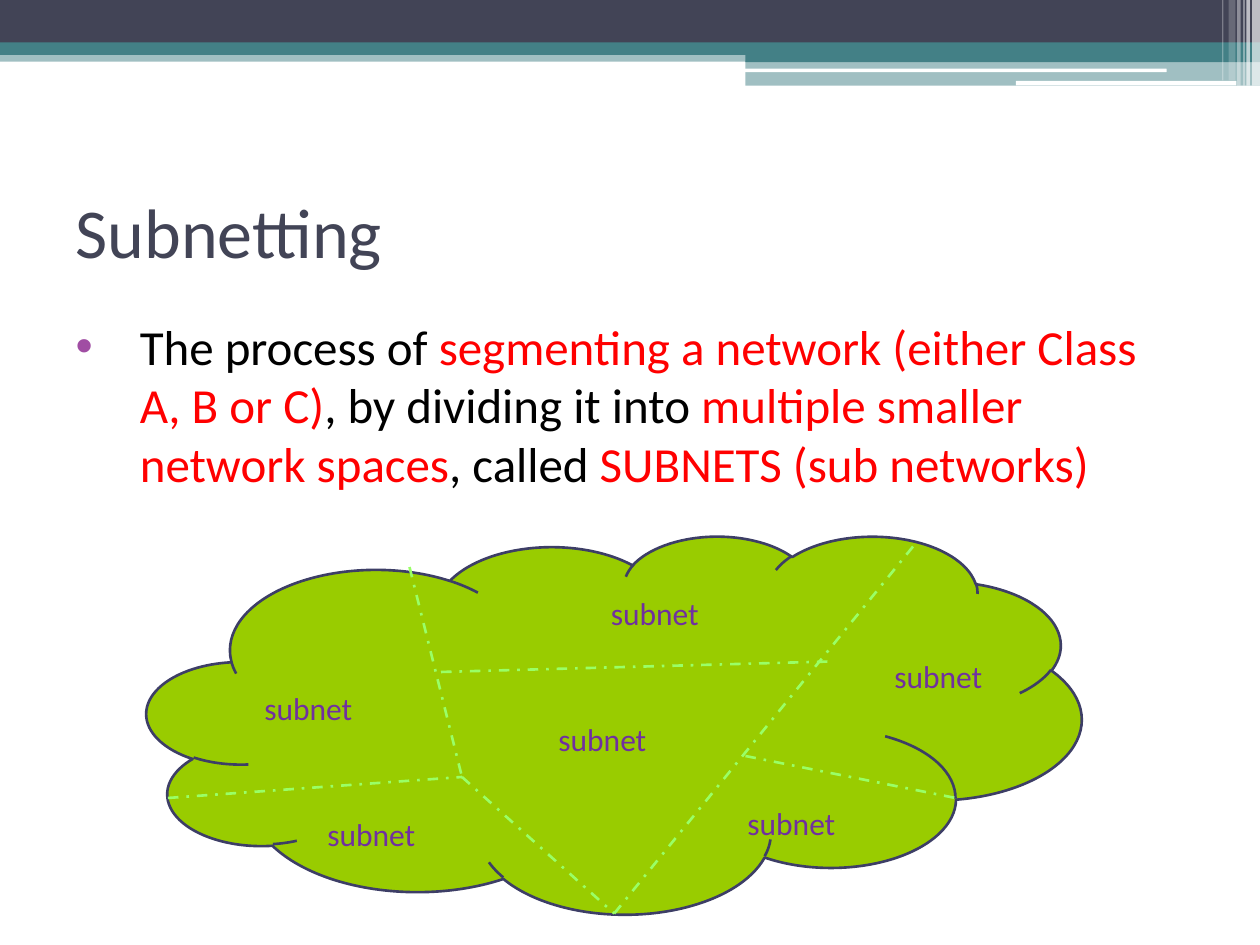
from lxml import etree
from pptx import Presentation
from pptx.dml.color import RGBColor
from pptx.enum import dml, shapes, text
from pptx.oxml.ns import qn
from pptx.util import Pt

COLORS = {
    "navy": "424456", "teal": "438086", "white": "FFFFFF", "black": "000000",
    "red": "FF0000", "bullet": "A04DA3", "cloud": "99CC00",
    "outline": "3D3E66", "divider": "99FF66", "label": "7030A0",
}


def add_filled(kind, box, color, alpha=100):
    """Add a flat preset shape; alpha is its opacity in percent."""
    sp = s.shapes.add_shape(kind, *map(Pt, box))
    sp.shadow.inherit = False
    sp.fill.solid()
    sp.fill.fore_color.rgb = RGBColor.from_string(COLORS[color])
    sp.line.fill.background()
    if alpha < 100:
        clr = sp.fill._xPr.find(".//" + qn("a:srgbClr"))
        etree.SubElement(clr, qn("a:alpha"), val=str(alpha * 1000))
    return sp


def add_run(p, words, size, color):
    r = p.add_run()
    r.text = words
    for name, value in {"name": "Calibri", "size": Pt(size)}.items():
        setattr(r.font, name, value)
    r.font.color.rgb = RGBColor.from_string(COLORS[color])


prs = Presentation()
prs.slide_width, prs.slide_height = Pt(720), Pt(540)
s = prs.slides.add_slide(prs.slide_layouts[1])
title, body = s.placeholders

# Header bands
for box, color, alpha in [
    ((0, 28.8, 720, 6.5), "teal", 50),
    ((0, 0, 720, 24.5), "navy", 100),
    ((0, 24.2, 720, 7.2), "teal", 100),
    ((426, 28.3, 294, 7.2), "teal", 100),
    ((426, 34.7, 294, 14.2), "teal", 50),
]:
    add_filled(shapes.MSO_SHAPE.RECTANGLE, box, color, alpha)
for box in [(425.5, 39.2, 241.2, 2), (580.5, 46.2, 126, 2.6)]:
    add_filled(shapes.MSO_SHAPE.ROUNDED_RECTANGLE, box, "white")

# Translucent stripes at the right end of the header
for left, width, height, alpha in [
    (715.5, 4.5, 49, 65), (712.2, 2, 49, 65), (710.5, 0.7, 49, 60),
    (707, 2, 49, 40), (702, 4, 46, 20), (698.4, 0.7, 46, 30),
]:
    add_filled(shapes.MSO_SHAPE.RECTANGLE, (left, 0, width, height), "white", alpha)

# Title and definition
for sp, top, height, anchor in [
    (title, 90, 84, text.MSO_ANCHOR.MIDDLE),
    (body, 177, 340.5, text.MSO_ANCHOR.TOP),
]:
    sp.left, sp.top, sp.width, sp.height = Pt(36), Pt(top), Pt(648), Pt(height)
    tf = sp.text_frame
    for name, value in {"auto_size": text.MSO_AUTO_SIZE.NONE, "word_wrap": True,
                        "vertical_anchor": anchor}.items():
        setattr(tf, name, value)
    tf.paragraphs[0].alignment = text.PP_ALIGN.LEFT

add_run(title.text_frame.paragraphs[0], "Subnetting", 40, "navy")

p = body.text_frame.paragraphs[0]
p.space_before = Pt(0)
pPr = p._p.get_or_add_pPr()
pPr.set("marL", str(Pt(36.7)))
pPr.set("indent", str(-Pt(36.7)))
bullet_color = etree.SubElement(pPr, qn("a:buClr"))
etree.SubElement(bullet_color, qn("a:srgbClr"), val=COLORS["bullet"])
etree.SubElement(pPr, qn("a:buFont"), typeface="Arial")
etree.SubElement(pPr, qn("a:buChar"), char="•")
for words, color in [
    ("The process of ", "black"),
    ("segmenting a network (either Class A, B or C)", "red"),
    (", by dividing it into ", "black"),
    ("multiple smaller network spaces", "red"),
    (", called ", "black"),
    ("SUBNETS (sub networks)", "red"),
]:
    add_run(p, words, 28, color)

# Network cloud
cloud = add_filled(shapes.MSO_SHAPE.CLOUD, (84, 306, 534, 216), "cloud")
cloud.line.color.rgb = RGBColor.from_string(COLORS["outline"])
cloud.line.width = Pt(1.5)

# Dividing lines between the subnets
for ends in [
    (234, 324, 264, 444), (264, 444, 351, 522), (96, 456, 264, 444),
    (351, 522, 522, 312), (252, 384, 474, 378), (426, 432, 546, 456),
]:
    line = s.shapes.add_connector(shapes.MSO_CONNECTOR.STRAIGHT, *map(Pt, ends))
    line.line.color.rgb = RGBColor.from_string(COLORS["divider"])
    line.line.width = Pt(1.5)
    line.line.dash_style = dml.MSO_LINE.DASH_DOT
    etree.SubElement(line._element.spPr, qn("a:effectLst"))

# Subnet labels
for left, top in [(504, 372), (312, 408), (420, 456), (342, 336), (144, 390), (180, 462)]:
    tf = s.shapes.add_textbox(Pt(left), Pt(top), Pt(67.7), Pt(28.8)).text_frame
    tf.word_wrap = False
    tf.auto_size = text.MSO_AUTO_SIZE.SHAPE_TO_FIT_TEXT
    add_run(tf.paragraphs[0], "subnet", 18, "label")

prs.save("out.pptx")
